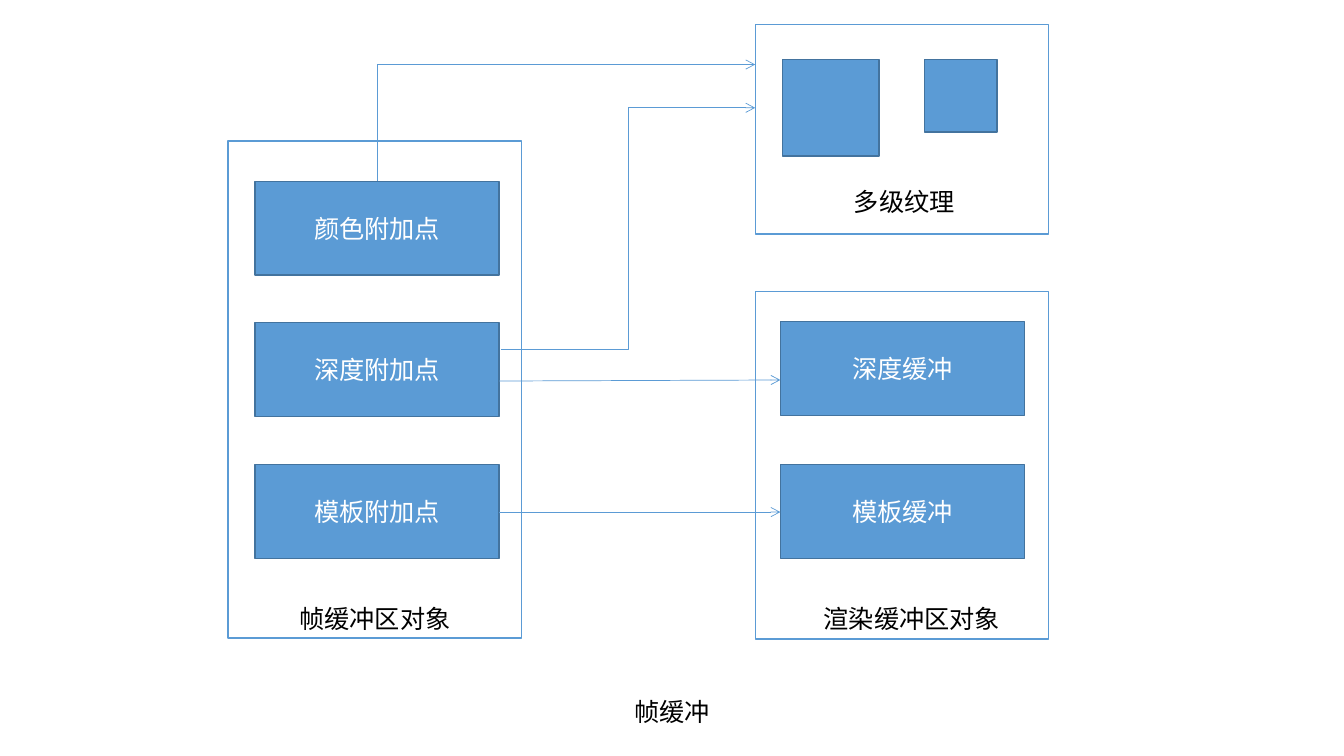
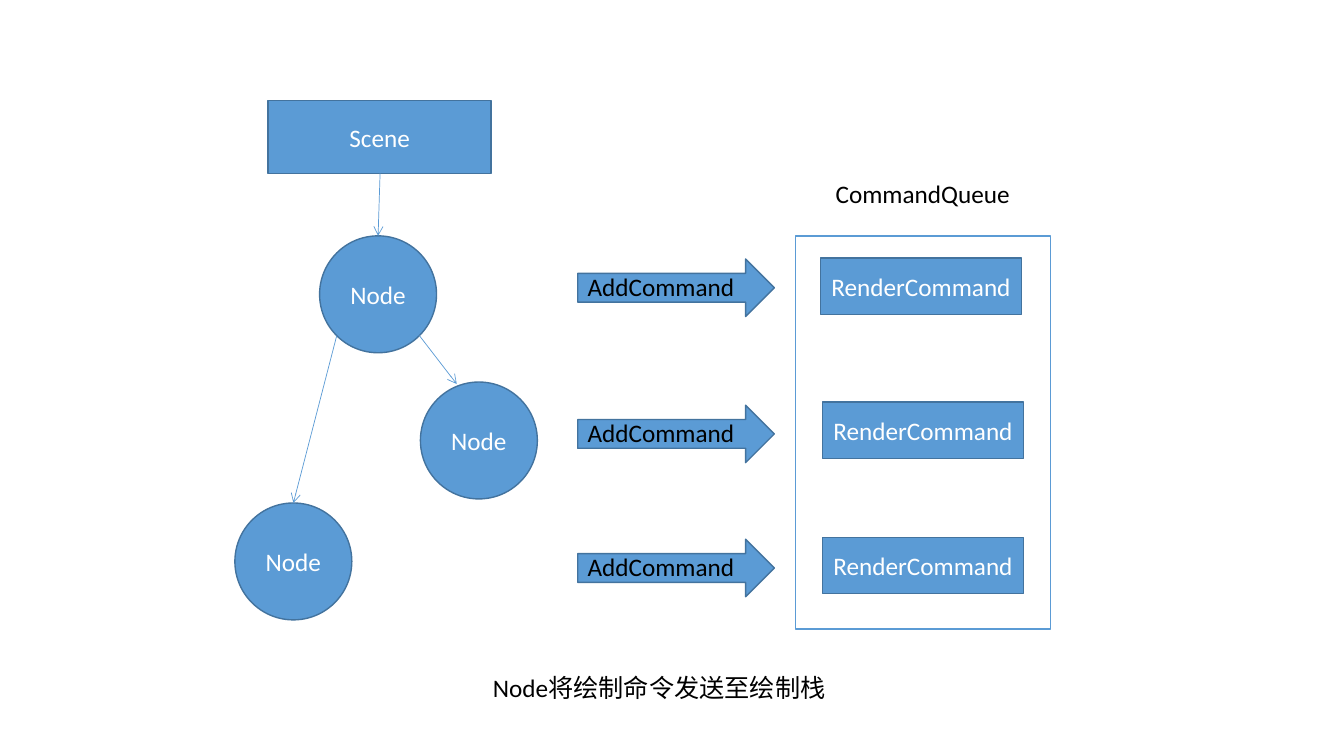
from dataclasses import dataclass

from lxml import etree
from pptx import Presentation
from pptx import util as u
from pptx.dml.color import RGBColor
from pptx.enum import shapes, text
from pptx.oxml import ns

Inches = u.Inches
RECT = shapes.MSO_SHAPE.RECTANGLE
OVAL = shapes.MSO_SHAPE.OVAL
ARROW = shapes.MSO_SHAPE.RIGHT_ARROW


@dataclass(frozen=True)
class Theme:
    """Colours, font and sizes shared by both slides."""
    accent: RGBColor = RGBColor(0x5B, 0x9B, 0xD5)
    edge: RGBColor = RGBColor(0x43, 0x73, 0x9E)
    white: RGBColor = RGBColor(0xFF, 0xFF, 0xFF)
    black: RGBColor = RGBColor(0, 0, 0)
    font: str = "Calibri"
    size: u.Pt = u.Pt(18)
    outline: u.Pt = u.Pt(1)
    link: u.Pt = u.Pt(0.5)


THEME = Theme()


def add_text(tf, words, color):
    """Write one run in the theme font."""
    r = tf.paragraphs[0].add_run()
    r.text = words
    r.font.name = THEME.font
    r.font.size = THEME.size
    r.font.color.rgb = color


def add_block(s, kind, x, y, w, h, words="", fill=THEME.accent, edge=THEME.edge):
    """Add a filled shape, with centred white text if there is any."""
    sp = s.shapes.add_shape(kind, Inches(x), Inches(y), Inches(w), Inches(h))
    sp.shadow.inherit = False
    sp.fill.solid()
    sp.fill.fore_color.rgb = fill
    sp.line.color.rgb = edge
    sp.line.width = THEME.outline
    if words:
        tf = sp.text_frame
        tf.vertical_anchor = text.MSO_ANCHOR.MIDDLE
        tf.paragraphs[0].alignment = text.PP_ALIGN.CENTER
        add_text(tf, words, THEME.white)
    return sp


def add_panel(s, x, y, w, h):
    """Add a white frame that groups blocks."""
    add_block(s, RECT, x, y, w, h, fill=THEME.white, edge=THEME.accent)


def add_label(s, x, y, w, words, wrap=False):
    """Add a black one-line label; wrap lets it run over."""
    sp = s.shapes.add_textbox(Inches(x), Inches(y), Inches(w), Inches(0.4))
    tf = sp.text_frame
    tf.word_wrap = wrap
    tf.auto_size = text.MSO_AUTO_SIZE.SHAPE_TO_FIT_TEXT
    add_text(tf, words, THEME.black)


def add_link(s, start, end, kind=shapes.MSO_CONNECTOR.STRAIGHT):
    """Add a thin connector with an open arrowhead at its end."""
    c = s.shapes.add_connector(kind, *map(Inches, start + end))
    c.line.color.rgb = THEME.accent
    c.line.width = THEME.link
    ln = c._element.spPr.find(ns.qn("a:ln"))
    etree.SubElement(ln, ns.qn("a:tailEnd"), type="arrow")
    etree.SubElement(c._element.spPr, ns.qn("a:effectLst"))
    return c


def add_corner_link(s, start, end):
    """Add a one-bend connector that goes up, then right."""
    c = add_link(s, start, end, shapes.MSO_CONNECTOR.ELBOW)
    (x1, y1), (x2, y2) = start, end
    w, h = y1 - y2, x2 - x1
    spPr = c._element.spPr
    xfrm = spPr.find(ns.qn("a:xfrm"))
    xfrm.attrib.pop("flipV", None)
    xfrm.set("rot", str(270 * 60000))
    spPr.find(ns.qn("a:prstGeom")).set("prst", "bentConnector2")
    c.left, c.top = Inches((x1 + x2 - w) / 2), Inches((y1 + y2 - h) / 2)
    c.width, c.height = Inches(w), Inches(h)


def build_framebuffer(s):
    """Draw the attachment points and the buffers they lead to."""
    block_w, block_h = 2.42, 0.93
    points_x, buffers_x, panel_x, panel_w = 2.53, 7.74, 7.49, 2.91
    add_panel(s, 2.26, 1.4, panel_w, 4.93)
    add_panel(s, panel_x, 2.89, panel_w, 3.45)
    add_panel(s, panel_x, 0.24, panel_w, 2.08)

    for y, words in ((1.8, "颜色附加点"), (3.2, "深度附加点"), (4.61, "模板附加点")):
        add_block(s, RECT, points_x, y, block_w, block_h, words)
    for y, words in ((3.19, "深度缓冲"), (4.61, "模板缓冲")):
        add_block(s, RECT, buffers_x, y, block_w, block_h, words)
    for x, side in ((7.76, 0.96), (9.17, 0.72)):
        add_block(s, RECT, x, 0.59, side, side)

    for x, y, w, words in (
        (2.87, 5.94, 1.7, "帧缓冲区对象"),
        (8.07, 5.94, 1.95, "渲染缓冲区对象"),
        (8.37, 1.8, 1.2, "多级纹理"),
        (6.19, 6.86, 0.95, "帧缓冲"),
    ):
        add_label(s, x, y, w, words)

    points_right = points_x + block_w
    add_link(s, (points_right, 3.78), (buffers_x, 3.77))
    add_link(s, (points_right, 5.08), (buffers_x, 5.08))
    add_link(s, (4.97, 3.47), (panel_x, 1.07), shapes.MSO_CONNECTOR.ELBOW)
    add_corner_link(s, (3.74, 1.8), (panel_x, 0.64))


def build_command_queue(s):
    """Draw the scene tree and the commands its nodes send."""
    add_block(s, RECT, 2.66, 1, 2.21, 0.72, "Scene")
    for x, y in ((3.17, 2.34), (2.33, 4.99), (4.17, 3.79)):
        add_block(s, OVAL, x, y, 1.16, 1.16, "Node")
    for start, end in (
        ((3.77, 1.72), (3.75, 2.34)),
        ((4.16, 3.33), (4.53, 3.81)),
        ((3.34, 3.33), (2.91, 4.99)),
    ):
        add_link(s, start, end)

    add_label(s, 8.19, 1.72, 1.93, "CommandQueue")
    add_panel(s, 7.89, 2.34, 2.53, 3.9)
    for x, y, arrow_y in ((8.14, 2.56, 2.57), (8.16, 3.99, 4.02), (8.16, 5.33, 5.35)):
        command = add_block(s, RECT, x, y, 1.99, 0.56, "RenderCommand")
        command.text_frame.word_wrap = False
        add_block(s, ARROW, 5.73, arrow_y, 1.95, 0.57)
        add_label(s, 5.73, arrow_y + 0.07, 1.68, "AddCommand")

    add_label(s, 4.79, 6.62, 3.5, "Node将绘制命令发送至绘制栈", wrap=True)


def main():
    """Build both slides and save the file."""
    prs = Presentation()
    prs.slide_width, prs.slide_height = Inches(13.33), Inches(7.5)
    for build in (build_framebuffer, build_command_queue):
        build(prs.slides.add_slide(prs.slide_layouts[6]))
    prs.save("out.pptx")


main()
